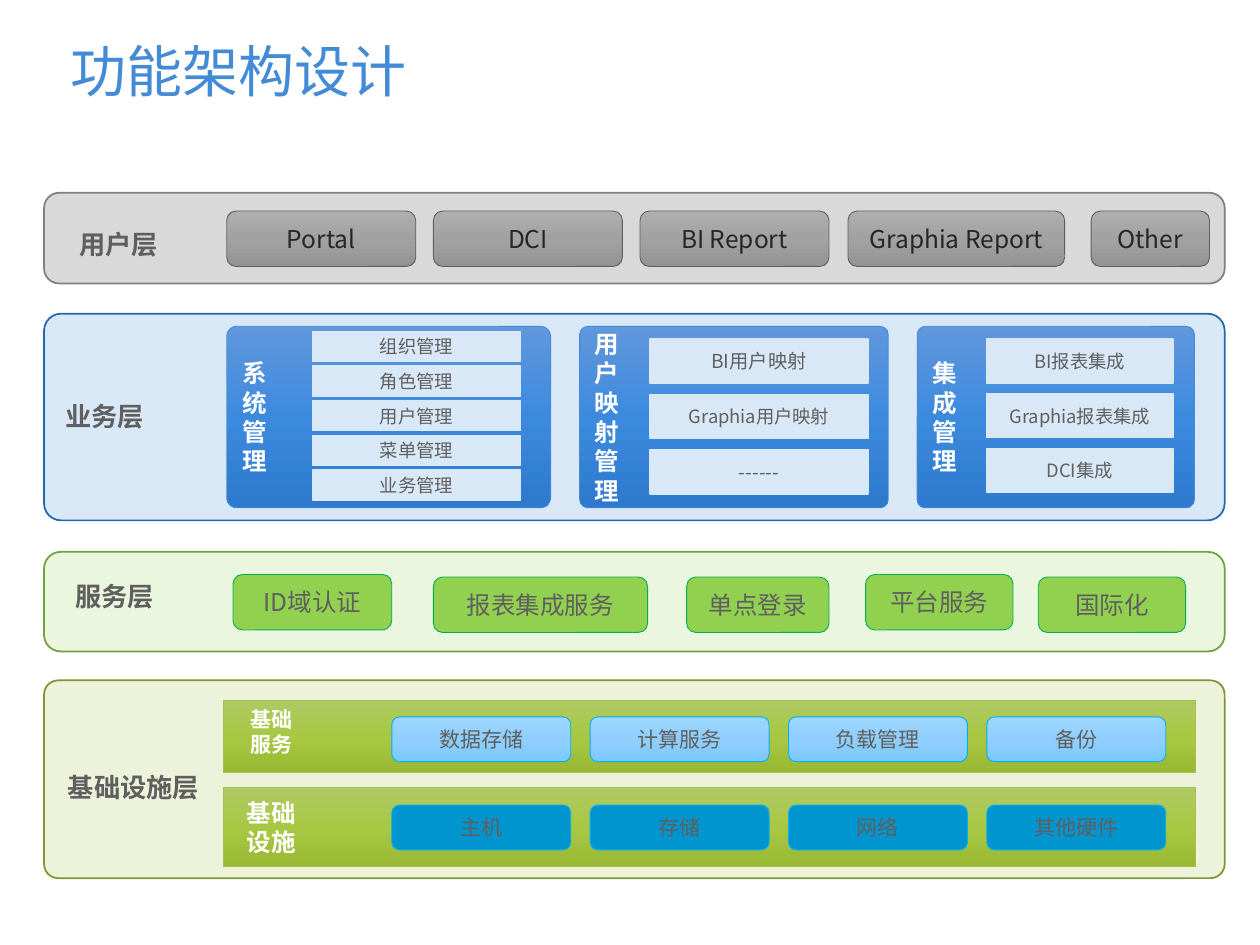
from collections import namedtuple
from copy import deepcopy

from lxml import etree
from pptx import Presentation
from pptx.dml.color import RGBColor
from pptx.enum.shapes import MSO_SHAPE
from pptx.enum.text import MSO_ANCHOR, PP_ALIGN
from pptx.oxml.ns import qn
from pptx.util import Inches, Pt

RECT, ROUND = MSO_SHAPE.RECTANGLE, MSO_SHAPE.ROUNDED_RECTANGLE
TOP, MIDDLE, BOTTOM = MSO_ANCHOR.TOP, MSO_ANCHOR.MIDDLE, MSO_ANCHOR.BOTTOM
LEFT, CENTER = PP_ALIGN.LEFT, PP_ALIGN.CENTER
BODY_FONT, TITLE_FONT = "Noto Sans CJK SC", "Montserrat"
COLUMNS, ROWS = 100, 75
CELL = Inches(10) / COLUMNS

COLORS = {
    "title": "438AD7", "text": "5F5F5F", "dark": "262626", "white": "FFFFFF",
    "user": "D9D9D9", "user_line": "808080",
    "business": "D9E8F7", "business_line": "2567AE",
    "service": "EBF6DE", "service_line": "71A042",
    "base": "EDF3DB", "base_line": "7E9632",
    "lime_line": "A5C249", "green": "92D050", "green_line": "00B050",
    "cyan": "0095CE", "cyan_line": "00B0F0",
}
GRADIENTS = {
    "grey": ("AEAEAE", "A2A2A2", "939393"),
    "blue": ("6197DD", "3C8ADE", "2D7ACE"),
    "lime": ("AFC964", "A8C843", "99B935"),
    "sky": ("9ED6FF", "90CFFD", "7CC9FD"),
}

Box = namedtuple("Box", "left top width height")
Style = namedtuple("Style", "form fill line weight size color")
GREY_TILE = Style(ROUND, "grey", "text", 0.5, 14, "dark")
GREEN_TILE = Style(ROUND, "green", "green_line", 0.5, 14, "text")
SKY_TILE = Style(ROUND, "sky", "cyan_line", 0.5, 12, "text")
CYAN_TILE = Style(ROUND, "cyan", "cyan_line", 0.5, 12, "text")
PALE_TILE = Style(RECT, "business", "business", 0.75, 10.5, "text")
BLUE_PANEL = Style(ROUND, "blue", "title", 0.5, 14, "white")
LIME_STRIP = Style(RECT, "lime", "lime_line", 0.5, 14, "white")


def rgb(name):
    """Look a colour up by name."""
    return RGBColor.from_string(COLORS[name])


def inside(box, left, top, width, height):
    """Return a box placed relative to the corner of another."""
    return Box(box.left + left, box.top + top, width, height)


def place(box):
    """Turn grid cells into slide lengths."""
    return [round(value * CELL) for value in box]


def paint(shape, fill_name):
    """Fill a shape with a flat colour or a three-stop vertical gradient."""
    fill = shape.fill
    if fill_name in COLORS:
        fill.solid()
        fill.fore_color.rgb = rgb(fill_name)
        return
    fill.gradient()
    fill.gradient_angle = 270
    stop_list = next(shape._element.iter(qn("a:gsLst")))
    stop_list.append(deepcopy(stop_list[0]))
    for index, stop in enumerate(fill.gradient_stops):
        stop.position = index / 2
        stop.color.rgb = RGBColor.from_string(GRADIENTS[fill_name][index])


def write(shape, lines, size, color, bold=False, align=CENTER, anchor=MIDDLE, font=BODY_FONT):
    """Write lines as paragraphs and return the text frame."""
    frame = shape.text_frame
    frame.word_wrap = True
    frame.vertical_anchor = anchor
    for index, line in enumerate(lines):
        para = frame.add_paragraph() if index else frame.paragraphs[0]
        para.alignment = align
        span = para.add_run()
        span.text = line
        span.font.size, span.font.bold = Pt(size), bold
        span.font.name = font
        span.font.color.rgb = rgb(color)
        etree.SubElement(span._r.rPr, qn("a:ea")).set("typeface", font)
    return frame


def add_block(shapes, box, style, corner=None):
    """Draw one filled and outlined block."""
    shape = shapes.add_shape(style.form, *place(box))
    shape.shadow.inherit = False
    paint(shape, style.fill)
    shape.line.color.rgb = rgb(style.line)
    shape.line.width = Pt(style.weight)
    if corner is not None:
        shape.adjustments[0] = corner
    return shape


def add_tile(shapes, box, style, label, size=None):
    """Draw one block with a centred label."""
    write(add_block(shapes, box, style), [label], size or style.size, style.color)


def add_title(page, box):
    """Write the page title at the foot of its box."""
    frame = write(page.shapes.add_textbox(*place(box)), ["功能架构设计"], 32, "title",
                  align=LEFT, anchor=BOTTOM, font=TITLE_FONT)
    frame.margin_top, frame.margin_bottom = 0, Inches(0.12)
    frame.paragraphs[0].line_spacing = 0.9


def add_layer(page, box, name, label, label_box, corner=None):
    """Draw the band of a layer and its bold name."""
    add_block(page.shapes, box, Style(ROUND, name, name + "_line", 1, 15, "text"), corner)
    name_box = page.shapes.add_textbox(*place(inside(box, *label_box)))
    write(name_box, [label], 15, "text", bold=True, anchor=TOP)


def add_user_layer(page, box):
    """Draw the user layer with its entry points."""
    add_layer(page, box, "user", "用户层", (0.8, 2.3, 10.2, 3.5))
    tiles = [("Portal", 14.5, 15), ("DCI", 30.9, 15), ("BI Report", 47.3, 15),
             ("Graphia Report", 63.8, 17.2), ("Other", 83.1, 9.4)]
    for label, left, width in tiles:
        add_tile(page.shapes, inside(box, left, 1.45, width, 4.4), GREY_TILE, label)


def add_panel(page, box, heading, corner, first, pitch, items):
    """Draw a panel with an upright heading and an even stack of items."""
    shapes = page.shapes.add_group_shape().shapes
    panel = add_block(shapes, box, BLUE_PANEL, corner)
    write(panel, heading, BLUE_PANEL.size, BLUE_PANEL.color, bold=True, align=LEFT)
    for index, (label, size) in enumerate(items):
        item_box = inside(box, first.left, first.top + index * pitch, first.width, first.height)
        add_tile(shapes, item_box, PALE_TILE, label, size)


def add_business_layer(page, box):
    """Draw the business layer with its three panels."""
    add_layer(page, box, "business", "业务层", (-2.3, 6.4, 14.2, 3.5), 0.082)
    system = ["组织管理", "角色管理", "用户管理", "菜单管理", "业务管理"]
    mapping = [("BI用户映射", 11), ("Graphia用户映射", 10.5), ("------", 11)]
    reports = ["BI报表集成", "Graphia报表集成", "DCI集成"]
    add_panel(page, inside(box, 14.5, 1, 25.7, 14.4), "系统管理", 0.056,
              Box(6.8, 0.4, 16.5, 2.4), 2.75, [(label, 10.5) for label in system])
    add_panel(page, inside(box, 42.5, 1, 24.5, 14.4), "用户映射管理", 0.046,
              Box(5.6, 1, 17.3, 3.5), 4.4, mapping)
    add_panel(page, inside(box, 69.3, 1, 22, 14.4), "集成管理", 0.045,
              Box(5.5, 1, 14.8, 3.5), 4.35, [(label, 10.5) for label in reports])


def add_service_layer(page, box):
    """Draw the service layer with its shared services."""
    add_layer(page, box, "service", "服务层", (-1.5, 1.8, 14.2, 3.5))
    tiles = [("ID域认证", 15, 1.8, 12.6), ("报表集成服务", 30.9, 2, 17),
             ("单点登录", 51, 2, 11.3), ("平台服务", 65.2, 1.8, 11.7),
             ("国际化", 78.9, 2, 11.7)]
    for label, left, top, width in tiles:
        add_tile(page.shapes, inside(box, left, top, width, 4.4), GREEN_TILE, label)


def add_strip(page, box, heading, size, anchor, indent, tile_top, style, labels):
    """Draw a strip with a two-line heading and four evenly spaced tiles."""
    strip = add_block(page.shapes, box, LIME_STRIP)
    frame = write(strip, heading, size, LIME_STRIP.color, bold=True, align=LEFT, anchor=anchor)
    frame.margin_left = round(indent * CELL)
    for index, label in enumerate(labels):
        tile_box = inside(box, 13.4 + index * 15.74, tile_top, 14.2, 3.55)
        add_tile(page.shapes, tile_box, style, label)


def add_base_layer(page, box):
    """Draw the infrastructure layer with its two strips."""
    add_layer(page, box, "base", "基础设施层", (0.8, 6.7, 12.6, 3.5), 0.071)
    add_strip(page, inside(box, 14.2, 8.5, 77.2, 6.3), ["基础", "设施"], 14, MIDDLE, 1.9,
              1.4, CYAN_TILE, ["主机", "存储", "网络", "其他硬件"])
    add_strip(page, inside(box, 14.2, 1.6, 77.2, 5.7), ["基础", "服务"], 12, TOP, 2.2,
              1.3, SKY_TILE, ["数据存储", "计算服务", "负载管理", "备份"])


def main():
    """Build the deck and save it."""
    deck = Presentation()
    deck.slide_width, deck.slide_height = round(COLUMNS * CELL), round(ROWS * CELL)
    page = deck.slides.add_slide(deck.slide_layouts[6])
    add_title(page, Box(4.6, 1.8, 90.7, 7.7))
    add_user_layer(page, Box(3.5, 15.3, 93.7, 7.2))
    add_business_layer(page, Box(3.5, 24.9, 93.7, 16.4))
    add_service_layer(page, Box(3.5, 43.8, 93.7, 7.9))
    add_base_layer(page, Box(3.5, 54, 93.7, 15.7))
    deck.save("out.pptx")


if __name__ == "__main__":
    main()
